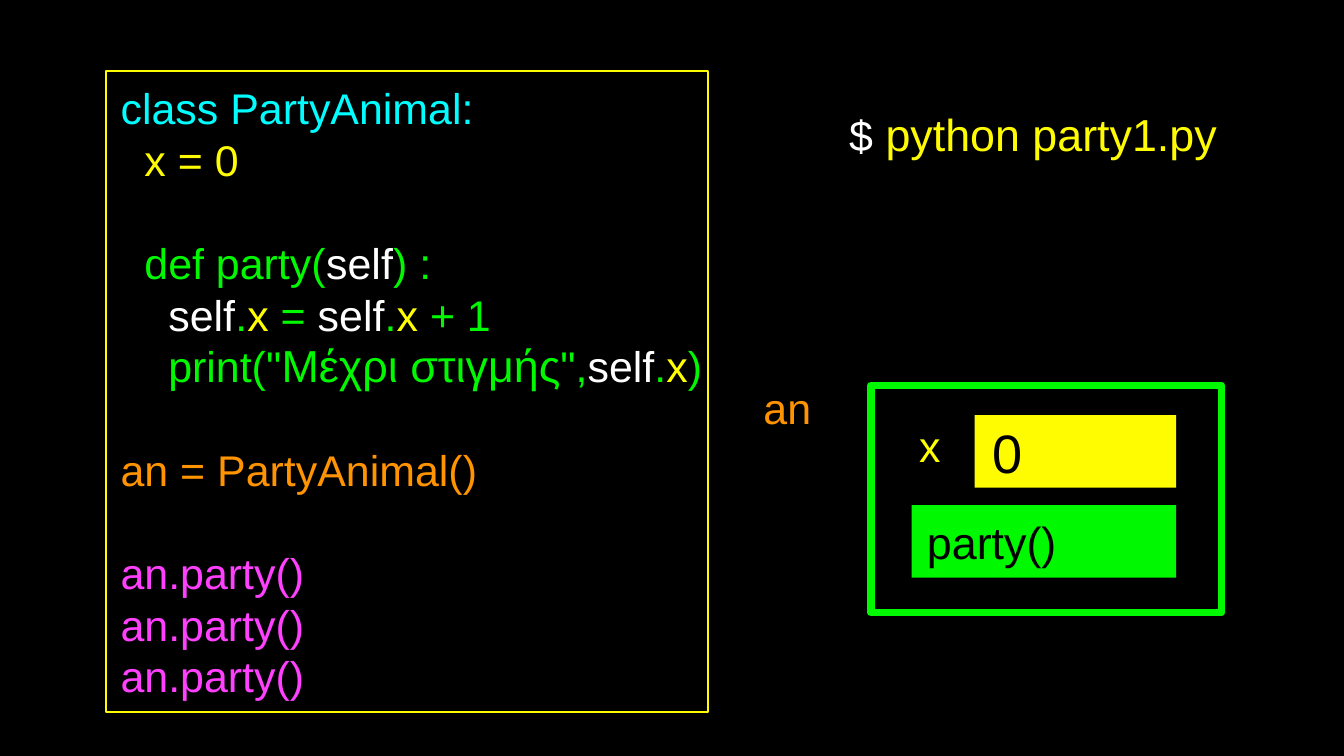
from pptx import Presentation
from pptx import util as u
from pptx.dml.color import RGBColor
from pptx.enum import shapes, text
from pptx.util import Cm

COLORS = {
    "black": "000000", "white": "FFFFFF", "cyan": "00FDFF", "yellow": "FFFB00",
    "lemon": "FFFF00", "green": "00F900", "orange": "FF9300", "pink": "FF40FF",
}
SELF_X = [("self", "white"), (".", "green"), ("x", "lemon")]
CODE = [
    [
        [("class PartyAnimal:", "cyan")],
        [("  x = 0", "yellow")],
    ],
    [
        [("  def party(", "green"), ("self", "white"), (") :", "green")],
        [("    ", "green"), *SELF_X, (" = ", "green"), *SELF_X, (" + 1", "green")],
        [("    print(\"", "green"), ("Μέχρι στιγμής", "green", 24), ("\",", "green"),
         *SELF_X, (")", "green")],
    ],
    [[("an = PartyAnimal()", "orange")]],
    [[("an.party()", "pink")]] * 3,
]


def rgb(name):
    """Return the named colour."""
    return RGBColor.from_string(COLORS[name])


def add_box(s, box, fill=None, line=None, width=1):
    """Add a rectangle with an optional fill and outline."""
    sp = s.shapes.add_shape(shapes.MSO_SHAPE.RECTANGLE, *map(Cm, box))
    sp.shadow.inherit = False
    if fill:
        sp.fill.solid()
        sp.fill.fore_color.rgb = rgb(fill)
    else:
        sp.fill.background()
    if line:
        sp.line.color.rgb = rgb(line)
        sp.line.width = u.Pt(width)
    else:
        sp.line.fill.background()
    return sp


def set_frame(sp, left=0.05, top=0.05, anchor=text.MSO_ANCHOR.MIDDLE):
    """Prepare a shape's text frame and return it."""
    tf = sp.text_frame
    tf.word_wrap = True
    tf.vertical_anchor = anchor
    tf.margin_left, tf.margin_top = Cm(left), Cm(top)
    tf.margin_right = tf.margin_bottom = Cm(0.05)
    return tf


def write(p, runs, size, align=text.PP_ALIGN.LEFT):
    """Fill a paragraph with (words, colour, optional size) runs."""
    p.alignment = align
    p.font.name, p.font.size = "Arial", u.Pt(size)
    for words, color, *own_size in runs:
        r = p.add_run()
        r.text = words
        r.font.color.rgb = rgb(color)
        if own_size:
            r.font.size = u.Pt(own_size[0])


def add_label(s, box, runs, size, align=text.PP_ALIGN.LEFT, **frame):
    """Add a one-line text box."""
    tf = set_frame(s.shapes.add_textbox(*map(Cm, box)), **frame)
    write(tf.paragraphs[0], runs, size, align)


def add_code(s, box):
    """Add the framed listing, with a line's gap between its blocks."""
    tf = set_frame(add_box(s, box, line="yellow"), left=0.28)
    pitch = u.Pt(27.7)
    for i, block in enumerate(CODE):
        for j, runs in enumerate(block):
            p = tf.add_paragraph() if i or j else tf.paragraphs[0]
            p.line_spacing = pitch
            if i and not j:
                p.space_before = pitch
            write(p, runs, 23)


def add_command(s, box):
    """Add the shell command."""
    runs = [("$", "white", 23), (" ", "white"), ("python party1.py", "yellow")]
    add_label(s, box, runs, 24, top=0.33, anchor=text.MSO_ANCHOR.TOP)


def add_object(s, box):
    """Add the object with its name, attribute and method."""
    x, y, w, h = box
    right = x + w - 0.86
    add_box(s, box, line="green", width=4)
    fields = [("0", "yellow", 29, 3.81, 0.56, 0.34),
              ("party()", "green", 24, 5.0, 2.26, 0.29)]
    for words, fill, size, width, dy, left in fields:
        sp = add_box(s, (right - width, y + dy, width, 1.37), fill=fill)
        write(set_frame(sp, left=left).paragraphs[0], [(words, "black")], size)
    add_label(s, (x - 2.08, y - 0.33, 1.52, 2.31), [("an", "orange")], 23,
              top=0.26, anchor=text.MSO_ANCHOR.TOP)
    add_label(s, (x + 0.58, y + 0.64, 1.07, 0.97), [("x", "lemon")], 23,
              text.PP_ALIGN.CENTER)


def main():
    """Build and save the slide."""
    prs = Presentation()
    prs.slide_width, prs.slide_height = Cm(25.4), Cm(14.29)
    s = prs.slides.add_slide(prs.slide_layouts[6])
    s.background.fill.solid()
    s.background.fill.fore_color.rgb = rgb("black")
    add_object(s, (16.46, 7.29, 6.63, 4.29))
    add_command(s, (16, 1.68, 8.59, 3.58))
    add_code(s, (2, 1.34, 11.38, 12.12))
    prs.save("out.pptx")


if __name__ == "__main__":
    main()
